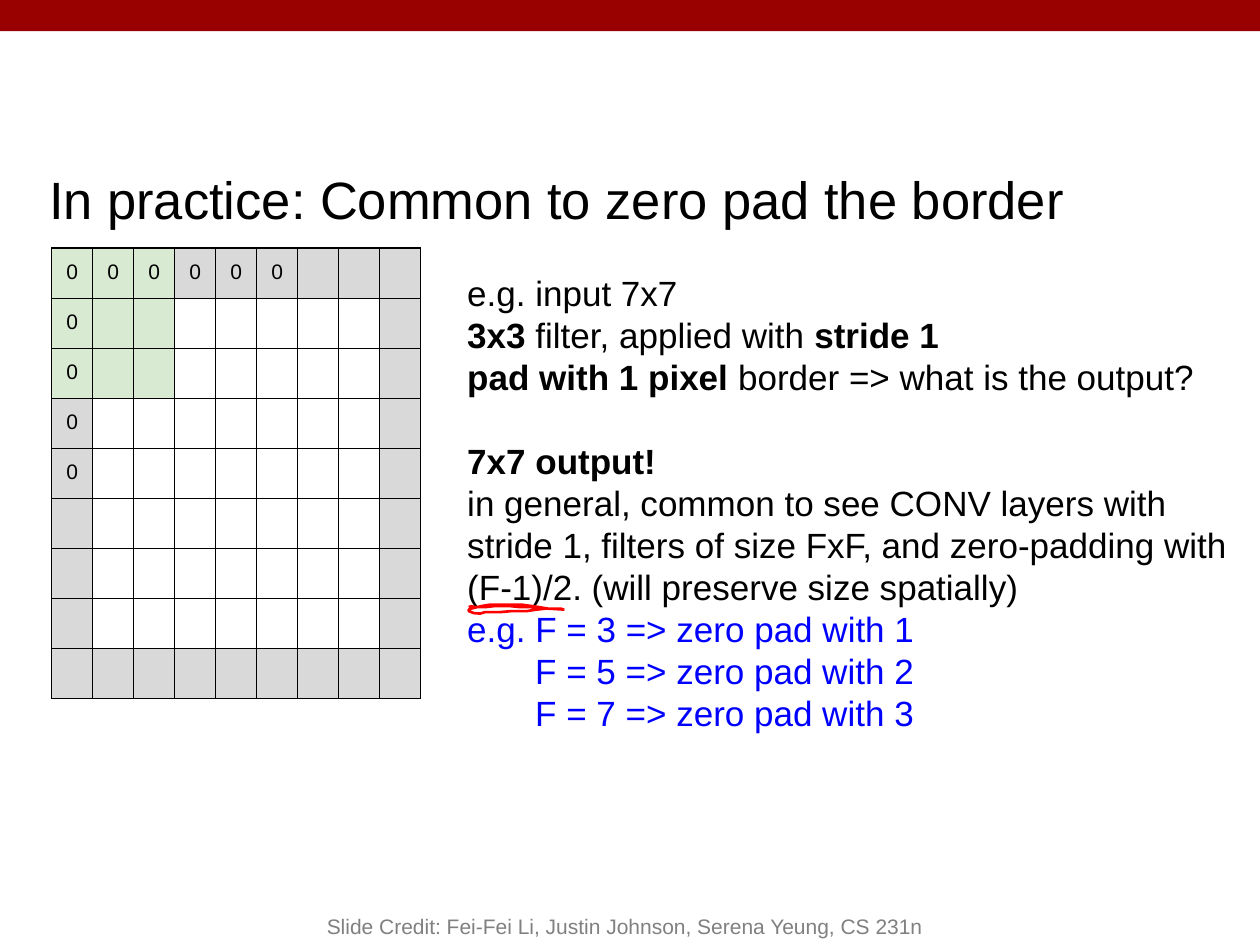
from dataclasses import dataclass

from lxml.etree import SubElement
from pptx import Presentation
from pptx.dml.color import RGBColor
from pptx.enum.shapes import MSO_SHAPE as Shape
from pptx.enum.text import MSO_ANCHOR as Anchor, PP_ALIGN as Align
from pptx.oxml.ns import qn
from pptx.util import Cm, Pt


@dataclass(frozen=True)
class Theme:
    font: str = "Arial"
    ink: str = "000000"
    paper: str = "FFFFFF"
    banner: str = "990000"
    example: str = "0000FF"
    credit: str = "808080"
    padding: str = "D9D9D9"
    filter: str = "D9EAD3"
    mark: str = "FF0000"
    title_size: int = 30
    body_size: int = 20
    small_size: int = 12
    body_leading: int = 24


@dataclass(frozen=True)
class Box:
    left: float
    top: float
    width: float
    height: float

    @property
    def lengths(self):
        return Cm(self.left), Cm(self.top), Cm(self.width), Cm(self.height)


THEME = Theme()
INSET = 0.25
CELLS = 9
FILTER_CELLS = 3
ZEROS_ACROSS, ZEROS_DOWN = 6, 5


def rgb(color):
    return RGBColor.from_string(color)


def write(para, text, size=THEME.body_size, color=THEME.ink, align=None,
          indent=0, leading=None, before=None):
    """Fill a paragraph; parts between ** marks are bold."""
    if indent:
        para._p.get_or_add_pPr().set("marL", str(Cm(indent)))
    if align is not None:
        para.alignment = align
    if leading:
        para.line_spacing = Pt(leading)
    if before:
        para.space_before = Pt(before)
    for index, part in enumerate(text.split("**")):
        if part:
            span = para.add_run()
            span.text = part
            span.font.name = THEME.font
            span.font.size = Pt(size)
            span.font.bold = index % 2 == 1
            span.font.color.rgb = rgb(color)


def add_text_frame(page, box, inset=INSET, anchor=Anchor.TOP):
    frame = page.shapes.add_textbox(*box.lengths).text_frame
    frame.word_wrap = True
    frame.vertical_anchor = anchor
    frame.margin_left = frame.margin_right = Cm(inset)
    frame.margin_top = frame.margin_bottom = Cm(inset)
    return frame


def add_banner(page, box):
    banner = page.shapes.add_shape(Shape.RECTANGLE, *box.lengths)
    banner.shadow.inherit = False
    banner.fill.solid()
    banner.fill.fore_color.rgb = rgb(THEME.banner)
    banner.line.fill.background()


def add_title(page, box):
    frame = add_text_frame(page, box, anchor=Anchor.MIDDLE)
    write(frame.paragraphs[0], "In practice: Common to zero pad the border",
          size=THEME.title_size)


def add_explanation(page, box):
    lines = [
        ("e.g. input 7x7", {}),
        ("**3x3** filter, applied with **stride 1**", {}),
        ("**pad with 1 pixel** border => what is the output?", {}),
        ("**7x7 output!**", {"before": THEME.body_leading}),
        ("in general, common to see CONV layers with stride 1, filters of size "
         "FxF, and zero-padding with (F-1)/2. (will preserve size spatially)", {}),
        ("e.g. F = 3 => zero pad with 1", {"color": THEME.example}),
        ("F = 5 => zero pad with 2", {"color": THEME.example, "indent": 1.37}),
        ("F = 7 => zero pad with 3", {"color": THEME.example, "indent": 1.37}),
    ]
    frame = add_text_frame(page, box)
    for index, (text, style) in enumerate(lines):
        para = frame.add_paragraph() if index else frame.paragraphs[0]
        write(para, text, leading=THEME.body_leading, **style)


def add_borders(cell):
    properties = cell._tc.get_or_add_tcPr()
    for side in ("a:lnL", "a:lnR", "a:lnT", "a:lnB"):
        line = SubElement(properties, qn(side), w=str(Pt(0.75)))
        fill = SubElement(line, qn("a:solidFill"))
        SubElement(fill, qn("a:srgbClr"), val=THEME.ink)


def cell_color(row, column):
    if max(row, column) < FILTER_CELLS:
        return THEME.filter
    on_border = {row, column} & {0, CELLS - 1}
    return THEME.padding if on_border else THEME.paper


def add_padded_grid(page, box):
    table = page.shapes.add_table(CELLS, CELLS, *box.lengths).table
    table.first_row = table.horz_banding = False
    for column in table.columns:
        column.width = Cm(box.width / CELLS)
    for row in table.rows:
        row.height = Cm(box.height / CELLS)
    for index, cell in enumerate(table.iter_cells()):
        row, column = divmod(index, CELLS)
        add_borders(cell)
        cell.fill.solid()
        cell.fill.fore_color.rgb = rgb(cell_color(row, column))
        cell.margin_left = cell.margin_right = Cm(INSET)
        cell.margin_top = cell.margin_bottom = Cm(INSET)
        para = cell.text_frame.paragraphs[0]
        para.font.size = Pt(THEME.small_size)
        has_zero = (row == 0 and column < ZEROS_ACROSS
                    or column == 0 and row < ZEROS_DOWN)
        if has_zero:
            write(para, "0", size=THEME.small_size, align=Align.CENTER)


def add_credit(page, box):
    frame = add_text_frame(page, box, inset=0.13, anchor=Anchor.BOTTOM)
    write(frame.paragraphs[0],
          "Slide Credit: Fei-Fei Li, Justin Johnson, Serena Yeung, CS 231n",
          size=THEME.small_size, color=THEME.credit, align=Align.CENTER)


def add_underline(page, left, top):
    """Draw the pen stroke; its points are hundredths of a centimetre."""
    start, *points = [
        (0, 5), (5, 3), (13, 5), (33, 5), (51, 3), (84, 3), (104, 5), (125, 5),
        (145, 8), (188, 8), (155, 8), (137, 10), (117, 13), (86, 13), (64, 15),
        (33, 15), (23, 18), (10, 17), (0, 13), (0, 10), (5, 8), (25, 3),
        (43, 0), (107, 0), (142, 5), (160, 8), (193, 10),
    ]
    builder = page.shapes.build_freeform(*start, scale=1 / Cm(0.01) ** -1)
    builder.add_line_segments(points, close=False)
    stroke = builder.convert_to_shape(Cm(left), Cm(top))
    stroke.shadow.inherit = False
    stroke.fill.background()
    stroke.line.color.rgb = rgb(THEME.mark)
    stroke.line.width = Pt(1.5)


def main():
    deck = Presentation()
    deck.slide_width, deck.slide_height = Cm(25.4), Cm(19.05)
    page = deck.slides.add_slide(deck.slide_layouts[6])
    add_banner(page, Box(0, 0, 25.4, 0.63))
    add_title(page, Box(0.74, 2.97, 23.01, 2.06))
    add_explanation(page, Box(9.17, 5.23, 16.23, 4.11))
    add_padded_grid(page, Box(1.04, 5, 7.45, 8.83))
    add_credit(page, Box(5.08, 17.78, 15.04, 1.27))
    add_underline(page, 9.45, 12.19)
    deck.save("out.pptx")


if __name__ == "__main__":
    main()
